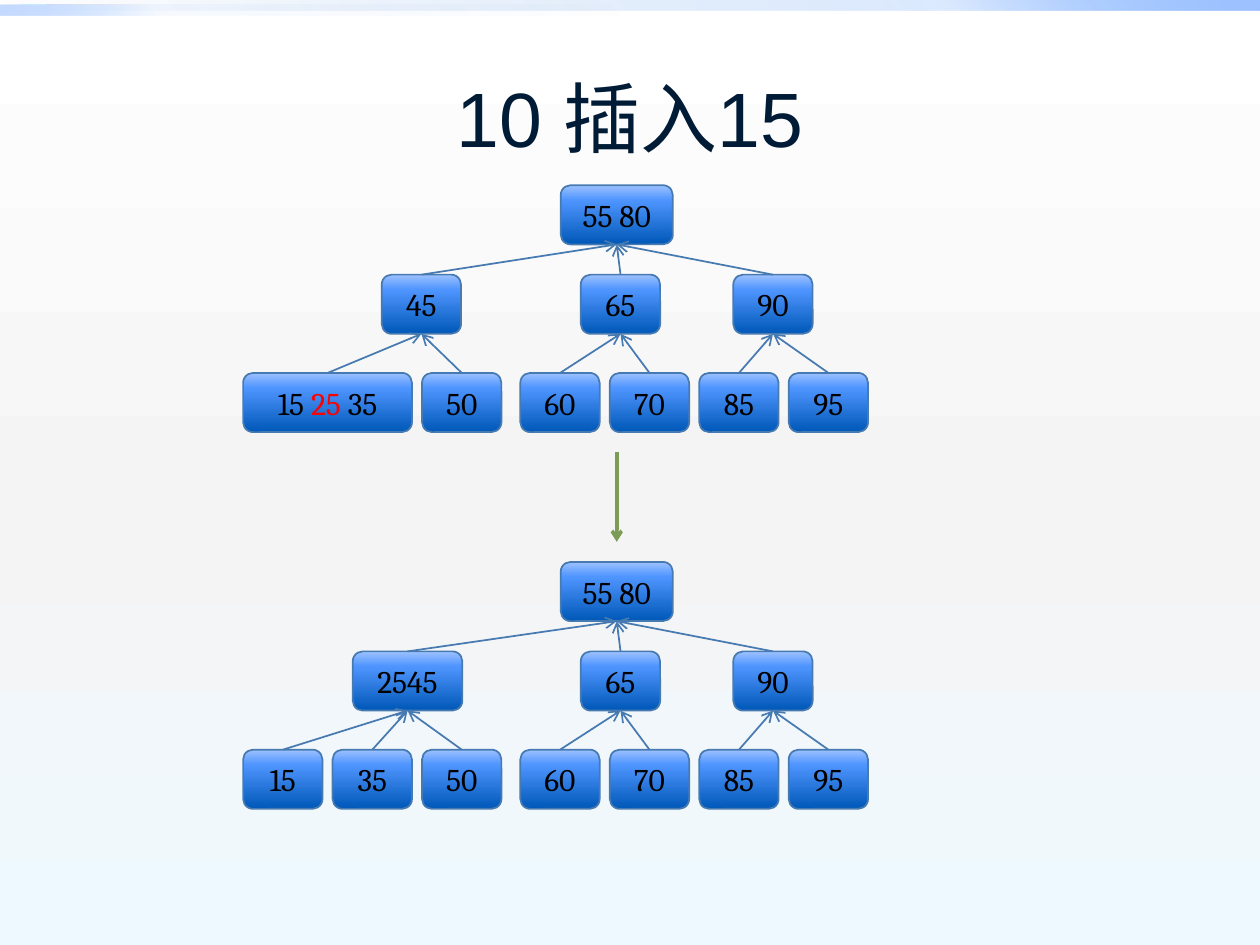
from lxml import etree
from pptx import Presentation
from pptx.dml.color import RGBColor
from pptx.enum.shapes import MSO_CONNECTOR, MSO_SHAPE
from pptx.enum.text import MSO_ANCHOR, PP_ALIGN
from pptx.oxml.ns import qn
from pptx.util import Inches, Pt

RECTANGLE = MSO_SHAPE.RECTANGLE
ROUNDED = MSO_SHAPE.ROUNDED_RECTANGLE
STRAIGHT = MSO_CONNECTOR.STRAIGHT
MIDDLE = MSO_ANCHOR.MIDDLE
CENTER = PP_ALIGN.CENTER
TOP_SIDE, BOTTOM_SIDE = 0, 2

COLORS = {
    "title": "001B36",
    "ink": "000000",
    "accent": "FF0000",
    "edge": "477AB1",
    "step": "7B9B57",
    "white": "FFFFFF",
    "gray": "F4F4F4",
    "ice": "EEF9FF",
    "deep": "0058B7",
    "blue": "4F95FF",
    "sky": "9EC2FF",
}
PAGE_STOPS = [(0, "white", 100), (55, "gray", 100), (100, "ice", 100)]
NODE_STOPS = [(0, "deep", 100), (75, "blue", 100), (100, "sky", 100)]
BARS = [
    (0, 10, [(0, "deep", 0), (75, "blue", 20), (100, "sky", 100)], 45),
    (0.04, 5, [(0, "deep", 0), (75, "blue", 5), (100, "sky", 60)], 225),
]

NODE_WIDTH, NODE_HEIGHT = 0.63, 0.47
COLUMN_STEP = 0.71
COLUMNS = [1.93 + COLUMN_STEP * i + (0.07 if i > 2 else 0) for i in range(7)]
ROWS = [0, 0.71, 1.49]
ROOT_LEFT, ROOT_WIDTH = 4.45, 0.89

SHARED_BRANCHES = [
    ("65", 4.61, NODE_WIDTH, [("60", 3, 1), ("70", 4, 1)]),
    ("90", 5.82, NODE_WIDTH, [("85", 5, 1), ("95", 6, 1)]),
]
TREES = [
    (1.47, [("45", 3.03, NODE_WIDTH, [("15 25 35", 0, 2), ("50", 2, 1)])]),
    (4.46, [("2545", 2.8, 0.87, [("15", 0, 1), ("35", 1, 1), ("50", 2, 1)])]),
]
ACCENTS = {"15 25 35": "25"}


def paint_gradient(fill, element, stops, angle):
    fill.gradient()
    fill.gradient_angle = angle
    stop_list = element.find(".//" + qn("a:gsLst"))
    for old_stop in list(stop_list):
        stop_list.remove(old_stop)
    for position, color, opacity in stops:
        stop = etree.SubElement(stop_list, qn("a:gs"), pos=str(position * 1000))
        tint = etree.SubElement(stop, qn("a:srgbClr"), val=COLORS[color])
        if opacity < 100:
            etree.SubElement(tint, qn("a:alpha"), val=str(opacity * 1000))


def write_text(box, text, size=18, font="Cambria", color="ink", accent=None):
    frame = box.text_frame
    frame.word_wrap = True
    frame.vertical_anchor = MIDDLE
    para = frame.paragraphs[0]
    para.alignment = CENTER
    for part in text.partition(accent) if accent else [text]:
        span = para.add_run()
        span.text = part
        span.font.size = Pt(size)
        span.font.name = font
        shade = "accent" if part == accent else color
        span.font.color.rgb = RGBColor.from_string(COLORS[shade])


deck = Presentation()
deck.slide_width, deck.slide_height = Inches(10), Inches(7.5)
page = deck.slides.add_slide(deck.slide_layouts[5])
shapes = page.shapes
paint_gradient(page.background.fill, page.element, PAGE_STOPS, 270)

title = shapes.title
title.left, title.top = Inches(0.5), Inches(0.3)
title.width, title.height = Inches(9), Inches(1.25)
write_text(title, "10 插入15", size=44, font="Arial", color="title")

for top, width, stops, angle in BARS:
    bar = shapes.add_shape(RECTANGLE, 0, Inches(top), Inches(width), Inches(0.08))
    bar.shadow.inherit = False
    bar.line.fill.background()
    paint_gradient(bar.fill, bar.element, stops, angle)

nodes = []
links = []
for tree_top, first_branch in TREES:
    root = len(nodes)
    nodes.append(("55 80", ROOT_LEFT, tree_top + ROWS[0], ROOT_WIDTH))
    for label, left, width, leaves in first_branch + SHARED_BRANCHES:
        branch = len(nodes)
        nodes.append((label, left, tree_top + ROWS[1], width))
        links.append((branch, root))
        for leaf_label, column, span_count in leaves:
            links.append((len(nodes), branch))
            leaf_width = NODE_WIDTH + COLUMN_STEP * (span_count - 1)
            nodes.append((leaf_label, COLUMNS[column], tree_top + ROWS[2], leaf_width))

boxes = []
for label, left, top, width in nodes:
    box = shapes.add_shape(
        ROUNDED, Inches(left), Inches(top), Inches(width), Inches(NODE_HEIGHT)
    )
    box.shadow.inherit = False
    box.line.color.rgb = RGBColor.from_string(COLORS["edge"])
    box.line.width = Pt(1)
    paint_gradient(box.fill, box.element, NODE_STOPS, 90)
    write_text(box, label, accent=ACCENTS.get(label))
    boxes.append(box)

arrows = []
for child, parent in links:
    link = shapes.add_connector(STRAIGHT, 0, 0, 0, 0)
    link.begin_connect(boxes[child], TOP_SIDE)
    link.end_connect(boxes[parent], BOTTOM_SIDE)
    arrows.append((link, "edge", 1))

step_x = Inches(ROOT_LEFT + ROOT_WIDTH / 2)
step = shapes.add_connector(STRAIGHT, step_x, Inches(3.59), step_x, Inches(4.3))
arrows.append((step, "step", 2))

for arrow, color, weight in arrows:
    arrow.line.color.rgb = RGBColor.from_string(COLORS[color])
    arrow.line.width = Pt(weight)
    properties = arrow.element.spPr
    etree.SubElement(properties.find(qn("a:ln")), qn("a:tailEnd"), type="arrow")
    etree.SubElement(properties, qn("a:effectLst"))

deck.save("out.pptx")
